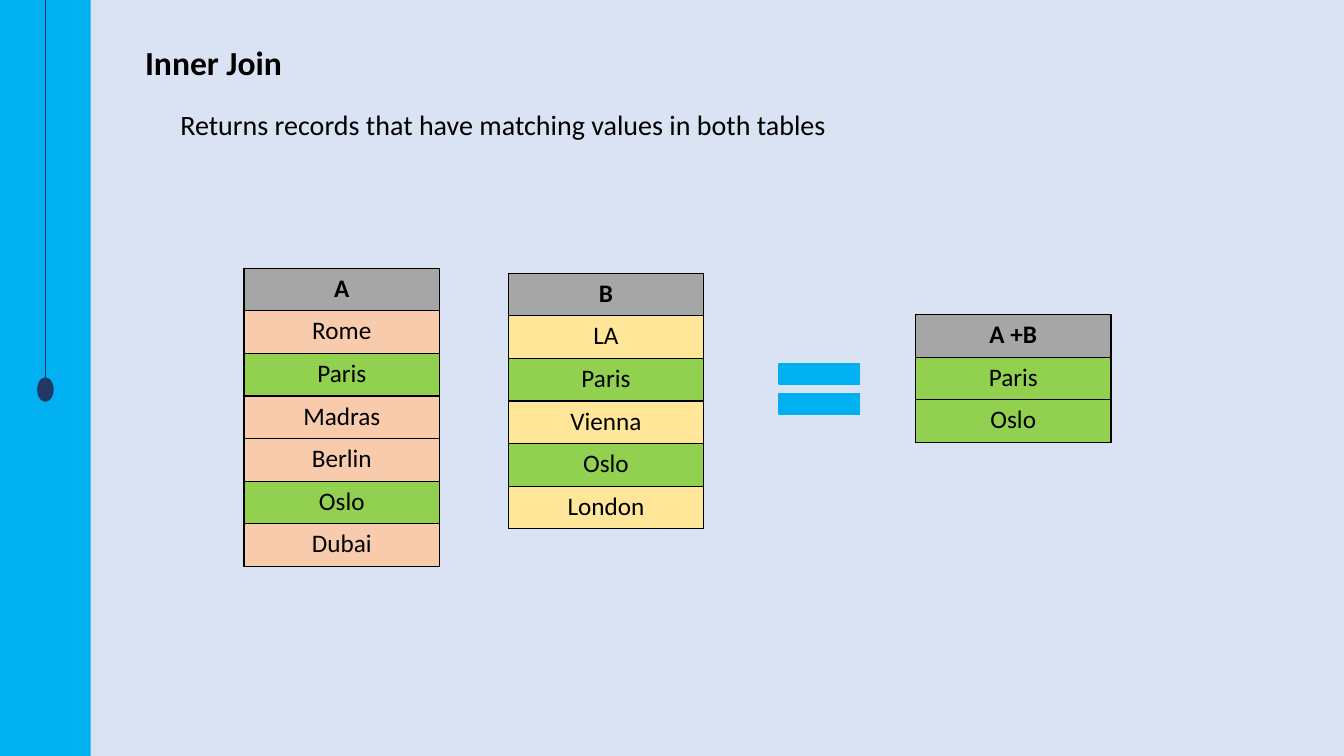
from dataclasses import dataclass

from lxml.etree import SubElement
from pptx import Presentation
from pptx.dml.color import RGBColor
from pptx.enum.shapes import MSO_CONNECTOR, MSO_SHAPE
from pptx.enum.text import MSO_AUTO_SIZE, PP_ALIGN
from pptx.oxml import parse_xml
from pptx.oxml.ns import nsdecls, qn
from pptx.util import Inches, Pt


@dataclass(frozen=True)
class Theme:
    font: str = "Calibri"
    title_size: int = 24
    body_size: int = 20
    cell_size: int = 18
    text: str = "000000"
    background: str = "DAE3F3"
    accent: str = "00B0F0"
    navy: str = "203864"
    header: str = "A6A6A6"
    match: str = "92D050"
    peach: str = "F8CBAD"
    yellow: str = "FFE699"


THEME = Theme()
COLUMNS, ROWS = 133.3, 75
GRID_STEP = Inches(0.1)
TABLE_WIDTH, ROW_HEIGHT = 19.4, 4.23
MATCHES = {"Paris", "Oslo"}


def grid(*lengths):
    return [round(length * GRID_STEP) for length in lengths]


def color(value):
    return RGBColor.from_string(value)


def style_text(para, size, bold=False):
    for span in para.runs:
        span.font.name = THEME.font
        span.font.size = Pt(size)
        span.font.bold = bold
        span.font.color.rgb = color(THEME.text)


def add_text(page, area, text, size, bold=False):
    box = page.shapes.add_textbox(*grid(*area))
    frame = box.text_frame
    frame.word_wrap = True
    frame.auto_size = MSO_AUTO_SIZE.SHAPE_TO_FIT_TEXT
    frame.text = text
    style_text(frame.paragraphs[0], size, bold)


def add_block(page, kind, area, fill, outlined=True):
    block = page.shapes.add_shape(kind, *grid(*area))
    block.shadow.inherit = False
    block.fill.solid()
    block.fill.fore_color.rgb = color(fill)
    if outlined:
        block.line.color.rgb = color(fill)
        block.line.width = Pt(1)
    else:
        block.line.fill.background()


def add_line(page, ends, line_color, width):
    line = page.shapes.add_connector(MSO_CONNECTOR.STRAIGHT, *grid(*ends))
    line.line.color.rgb = color(line_color)
    line.line.width = Pt(width)
    SubElement(line._element.spPr, qn("a:effectLst"))


def add_borders(cell):
    properties = cell._tc.get_or_add_tcPr()
    for index, side in enumerate(("lnL", "lnR", "lnT", "lnB")):
        border = parse_xml(
            f'<a:{side} {nsdecls("a")} w="{Pt(1)}"><a:solidFill>'
            f'<a:srgbClr val="{THEME.text}"/></a:solidFill></a:{side}>'
        )
        properties.insert(index, border)


def add_city_table(page, left, top, heading, cities, fill):
    names = [heading, *cities]
    area = grid(left, top, TABLE_WIDTH, ROW_HEIGHT * len(names))
    table = page.shapes.add_table(len(names), 1, *area).table
    table.first_row = False
    table.horz_banding = False
    for index, name in enumerate(names):
        cell = table.cell(index, 0)
        cell.text = name
        para = cell.text_frame.paragraphs[0]
        para.alignment = PP_ALIGN.CENTER
        style_text(para, THEME.cell_size, bold=index == 0)
        cell.fill.solid()
        city_fill = THEME.match if name in MATCHES else fill
        cell.fill.fore_color.rgb = color(THEME.header if index == 0 else city_fill)
        add_borders(cell)


def main():
    deck = Presentation()
    deck.slide_width, deck.slide_height = grid(COLUMNS, ROWS)
    page = deck.slides.add_slide(deck.slide_layouts[6])
    page.background.fill.solid()
    page.background.fill.fore_color.rgb = color(THEME.background)

    add_block(page, MSO_SHAPE.RECTANGLE, (0, 0, 9, ROWS), THEME.accent, outlined=False)
    add_line(page, (4.5, 0, 4.5, ROWS / 2), THEME.navy, 0.5)
    add_block(page, MSO_SHAPE.OVAL, (3.75, ROWS / 2, 1.5, 2.3), THEME.navy)

    add_text(page, (16.9, 10.2, 102.4, 4.4),
             "Returns records that have matching values in both tables", THEME.body_size)
    add_text(page, (13.4, 3.7, 23.2, 5), "Inner Join", THEME.title_size, bold=True)

    add_city_table(page, 24.2, 26.6, "A",
                   ["Rome", "Paris", "Madras", "Berlin", "Oslo", "Dubai"], THEME.peach)
    add_city_table(page, 50.4, 27.1, "B",
                   ["LA", "Paris", "Vienna", "Oslo", "London"], THEME.yellow)
    add_city_table(page, 90.8, 31.2, "A +B", ["Paris", "Oslo"], THEME.match)
    add_block(page, MSO_SHAPE.MATH_EQUAL, (75.8, 34.4, 10.9, 8.4), THEME.accent)

    deck.save("out.pptx")


if __name__ == "__main__":
    main()
